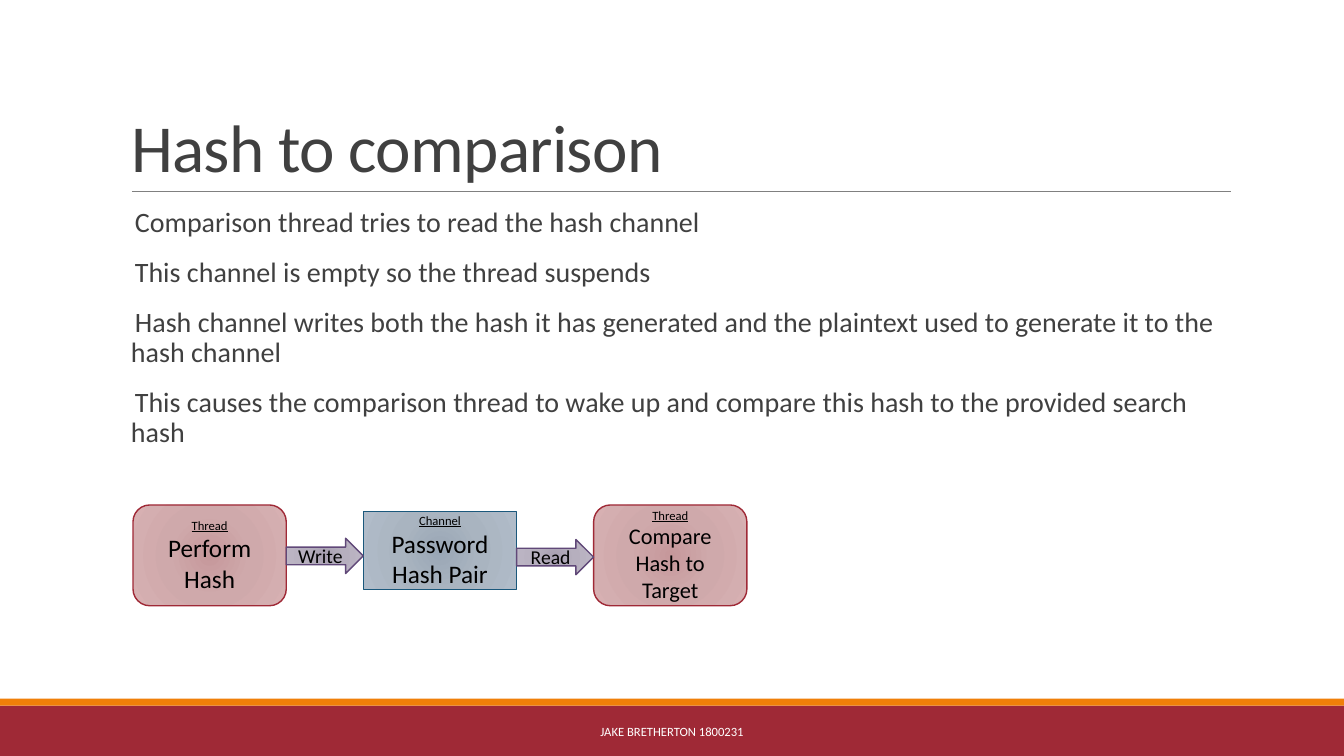
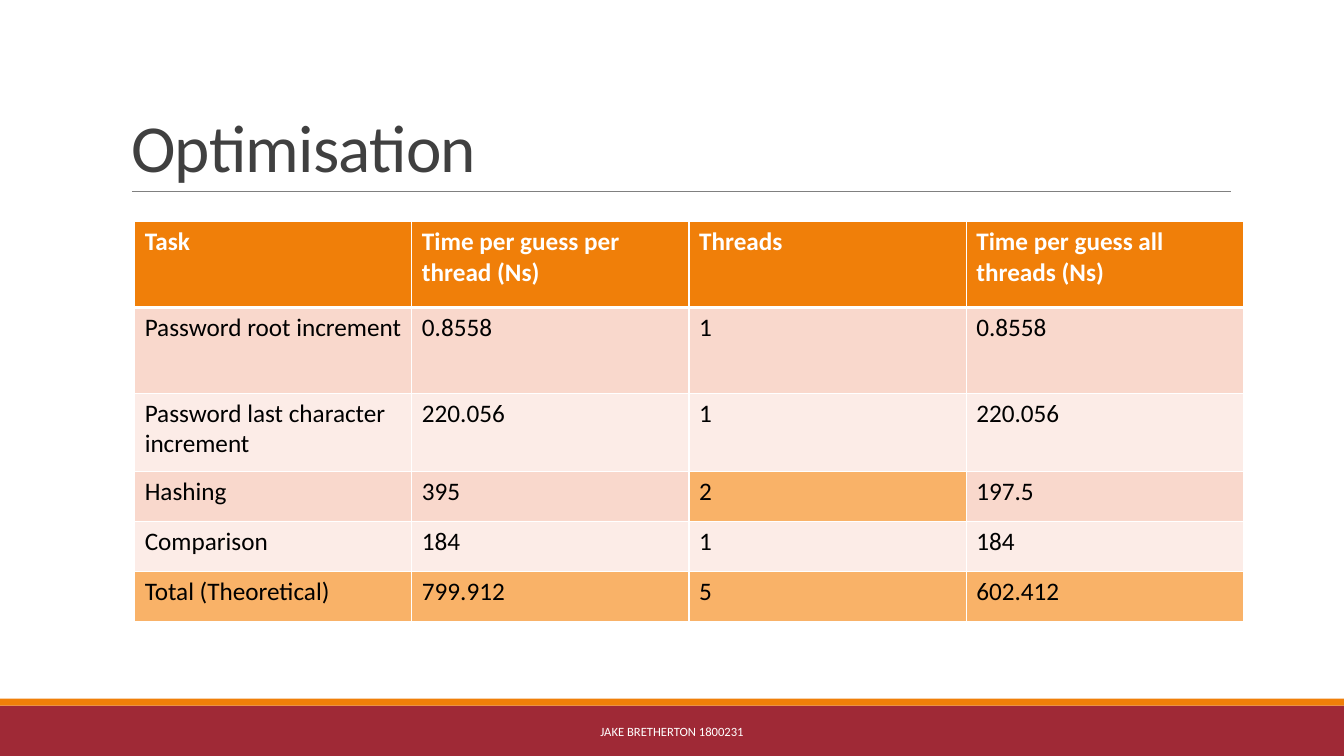
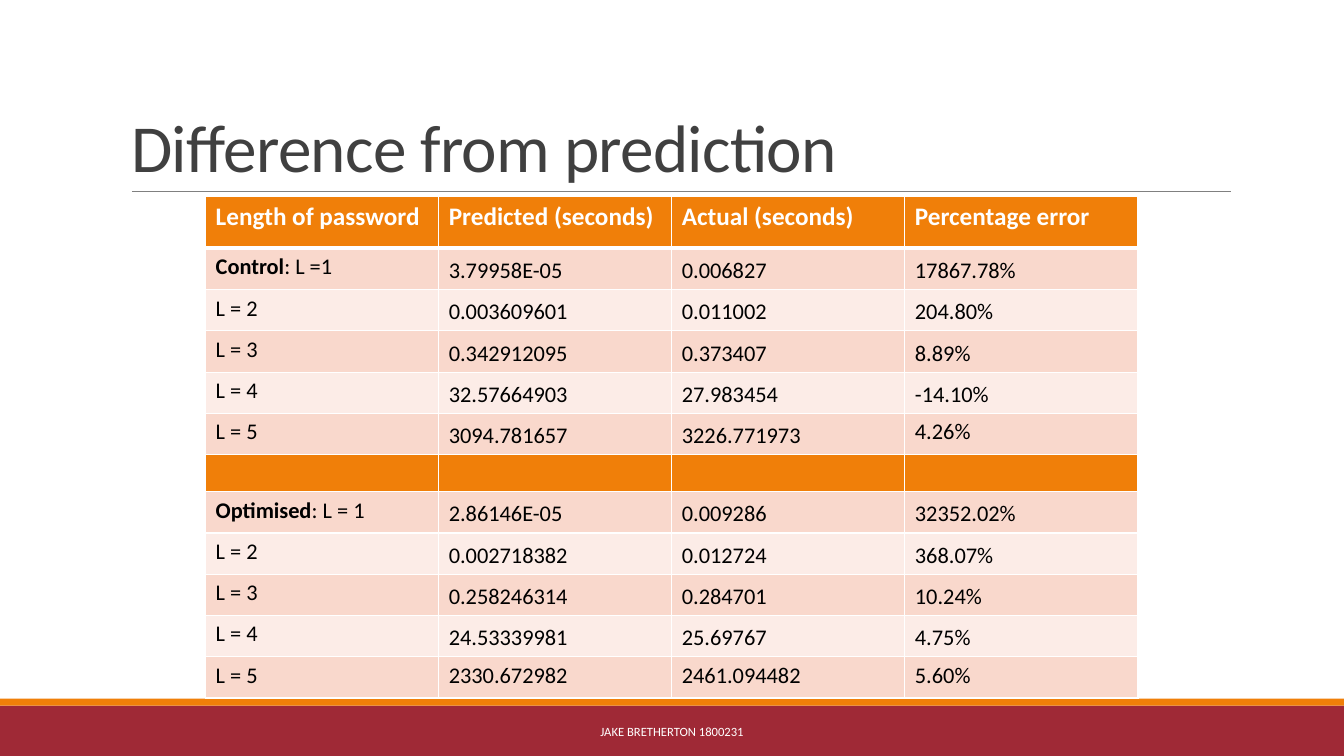
import pptx
import pptx.dml.color
import pptx.enum.shapes
import pptx.enum.text
import pptx.oxml
import pptx.oxml.ns
import pptx.util

Pt = pptx.util.Pt
RGB = pptx.dml.color.RGBColor
SHAPE = pptx.enum.shapes.MSO_SHAPE
ANCHOR = pptx.enum.text.MSO_ANCHOR
ALIGN = pptx.enum.text.PP_ALIGN

# Theme
FONT = "Calibri"
WHITE = RGB(0xFF, 0xFF, 0xFF)
BLACK = RGB(0x00, 0x00, 0x00)
INK = RGB(0x40, 0x40, 0x40)
RULE = RGB(0x80, 0x80, 0x80)
RED = RGB(0x9F, 0x29, 0x36)
ORANGE = RGB(0xF0, 0x7F, 0x09)
LIGHT_ORANGE = RGB(0xF9, 0xB2, 0x68)
BLUE = RGB(0x1B, 0x58, 0x7C)
PURPLE = RGB(0x60, 0x48, 0x78)
BANDS = (RGB(0xF9, 0xD8, 0xCC), RGB(0xFC, 0xEC, 0xE7))

# Radial gradients from the centre outwards, by outline colour
GRADIENTS = {
    RED: (RGB(0xC6, 0x98, 0x9B), RGB(0xCF, 0xA9, 0xAB), RGB(0xD7, 0xB0, 0xB2)),
    BLUE: (RGB(0x99, 0xA6, 0xB5), RGB(0xA9, 0xB4, 0xC0), RGB(0xB1, 0xBC, 0xC9)),
    PURPLE: (RGB(0xA8, 0xA0, 0xB2), RGB(0xB6, 0xAF, 0xBE), RGB(0xBE, 0xB7, 0xC6)),
}


def xml(text):
    """Parse a fragment that uses the a: prefix."""
    head, tail = text.split(">", 1) if "/>" not in text.split(">", 1)[0] + ">" else (text[:-2], None)
    ns = pptx.oxml.ns.nsdecls("a")
    return pptx.oxml.parse_xml(f"{head} {ns}/>" if tail is None else f"{head} {ns}>{tail}")


# Text
def add_text(p, text, size=18, color=BLACK, bold=False, underline=False, spacing=None):
    r = p.add_run()
    r.text = text
    f = r.font
    f.name, f.size, f.bold, f.underline = FONT, Pt(size), bold, underline
    f.color.rgb = color
    if spacing is not None:
        r._r.get_or_add_rPr().set("spc", str(int(spacing * 100)))
    return r


def add_box(slide, x, y, w, h, anchor=ANCHOR.TOP):
    tf = slide.shapes.add_textbox(Pt(x), Pt(y), Pt(w), Pt(h)).text_frame
    tf.word_wrap = True
    tf.vertical_anchor = anchor
    return tf


def add_body(slide, lines):
    tf = add_box(slide, 86.4, 145.4, 792, 316.8)
    tf.margin_left = tf.margin_right = 0
    for i, line in enumerate(lines):
        p = tf.paragraphs[0] if i == 0 else tf.add_paragraph()
        pPr = p._p.get_or_add_pPr()
        pPr.set("marL", str(Pt(7.2)))
        pPr.set("indent", str(-Pt(7.2)))
        pPr.append(xml(f'<a:buClr><a:srgbClr val="{ORANGE}"/></a:buClr>'))
        pPr.append(xml('<a:buChar char=" "/>'))
        p.line_spacing = 0.9
        p.space_before = Pt(12 if i else 0)
        p.space_after = Pt(2)
        add_text(p, line, size=20, color=INK)


# Shared slide frame
def add_band(slide, y, h, color):
    s = slide.shapes.add_shape(SHAPE.RECTANGLE, 0, Pt(y), Pt(960), Pt(h))
    s.shadow.inherit = False
    s.fill.solid()
    s.fill.fore_color.rgb = color
    s.line.fill.background()


def add_slide(prs, title):
    slide = prs.slides.add_slide(prs.slide_layouts[5])
    add_band(slide, 504, 36, RED)
    add_band(slide, 499, 5, ORANGE)

    rule = slide.shapes.add_connector(
        pptx.enum.shapes.MSO_CONNECTOR.STRAIGHT, Pt(94.3), Pt(136.8), Pt(879), Pt(136.8))
    rule.line.color.rgb = RULE
    rule.line.width = Pt(0.5)
    rule._element.spPr.append(xml("<a:effectLst/>"))

    s = slide.shapes.title
    s.left, s.top, s.width, s.height = Pt(86.4), Pt(22.3), Pt(792), Pt(114.5)
    tf = s.text_frame
    tf.word_wrap = True
    tf.auto_size = pptx.enum.text.MSO_AUTO_SIZE.NONE
    tf.vertical_anchor = ANCHOR.BOTTOM
    p = tf.paragraphs[0]
    p.alignment = ALIGN.LEFT
    p.line_spacing = 0.85
    add_text(p, title, size=48, color=INK, spacing=-0.5)

    p = add_box(slide, 290.2, 508.3, 379.6, 28.8, ANCHOR.MIDDLE).paragraphs[0]
    p.alignment = ALIGN.CENTER
    add_text(p, "JAKE BRETHERTON 1800231", size=9, color=WHITE)
    return slide


# Flow diagram
def add_node(slide, kind, x, y, w, h, color, label, size, caption=None):
    s = slide.shapes.add_shape(kind, Pt(x), Pt(y), Pt(w), Pt(h))
    s.shadow.inherit = False
    s.line.color.rgb = color
    s.line.width = Pt(1)
    stops = "".join(f'<a:gs pos="{pos}"><a:srgbClr val="{c}"/></a:gs>'
                    for pos, c in zip((0, 45000, 100000), GRADIENTS[color]))
    s._element.spPr.prstGeom.addnext(xml(
        f'<a:gradFill rotWithShape="1"><a:gsLst>{stops}</a:gsLst><a:path path="circle">'
        '<a:fillToRect l="100000" t="100000" r="100000" b="100000"/></a:path></a:gradFill>'))
    tf = s.text_frame
    tf.word_wrap = True
    tf.vertical_anchor = ANCHOR.MIDDLE
    p = tf.paragraphs[0]
    if caption:
        p.alignment = ALIGN.CENTER
        add_text(p, caption, size=9, underline=True)
        p = tf.add_paragraph()
    p.alignment = ALIGN.CENTER
    add_text(p, label, size=size)


def add_flow(slide):
    left, box_w, arrow_w = 95, 109.5, 55
    pitch = box_w + arrow_w
    thread = (SHAPE.ROUNDED_RECTANGLE, 360.7, 72, RED, "Thread")
    channel = (SHAPE.RECTANGLE, 365.5, 55.6, BLUE, "Channel")
    steps = [(thread, "Perform Hash", 18),
             (channel, "Password Hash Pair", 18),
             (thread, "Compare Hash to Target", 16)]
    for i, ((kind, y, h, color, caption), label, size) in enumerate(steps):
        add_node(slide, kind, left + i * pitch, y, box_w, h, color, label, size, caption)
    for i, (label, y) in enumerate((("Write", 384.5), ("Read", 385.3))):
        add_node(slide, SHAPE.RIGHT_ARROW, left + box_w + i * pitch, y, arrow_w, 25.2,
                 PURPLE, label, 14)


# Tables
def set_borders(cell, top=1, bottom=1):
    tcPr = cell._tc.get_or_add_tcPr()
    for side, width in (("L", 1), ("R", 1), ("T", top), ("B", bottom)):
        tcPr.append(xml(f'<a:ln{side} w="{Pt(width)}"><a:solidFill>'
                        f'<a:srgbClr val="{WHITE}"/></a:solidFill></a:ln{side}>'))


def add_table(slide, x, y, col_w, heights, rows, size=18, fills=None, bottom=()):
    """fills maps (row, column) to a colour; an empty row is a divider;
    a cell given as a pair starts with a bold part."""
    fills = fills or {}
    cols = len(rows[0])
    table = slide.shapes.add_table(len(rows), cols, Pt(x), Pt(y),
                                   Pt(col_w * cols), Pt(sum(heights))).table
    for column in table.columns:
        column.width = Pt(col_w)
    band = 0
    for i, (row, height) in enumerate(zip(rows, heights)):
        table.rows[i].height = Pt(height)
        solid = i == 0 or not row
        band = 0 if solid else band + 1
        for j in range(cols):
            cell = table.cell(i, j)
            set_borders(cell, top=3 if i == 1 else 1, bottom=3 if i == 0 else 1)
            cell.fill.solid()
            cell.fill.fore_color.rgb = fills.get(
                (i, j), ORANGE if solid else BANDS[(band - 1) % 2])
            if not row:
                cell.margin_top = cell.margin_bottom = 0
                continue
            if (i, j) in bottom:
                cell.vertical_anchor = ANCHOR.BOTTOM
            p = cell.text_frame.paragraphs[0]
            if i == 0:
                add_text(p, row[j], color=WHITE, bold=True)
            elif isinstance(row[j], tuple):
                add_text(p, row[j][0], size=size, bold=True)
                add_text(p, row[j][1], size=size)
            else:
                add_text(p, row[j], size=size)


OPTIMISATION = [
    ("Task", "Time per guess per thread (Ns)", "Threads", "Time per guess all threads (Ns)"),
    ("Password root increment", "0.8558", "1", "0.8558"),
    ("Password last character increment", "220.056", "1", "220.056"),
    ("Hashing", "395", "2", "197.5"),
    ("Comparison", "184", "1", "184"),
    ("Total (Theoretical)", "799.912", "5", "602.412"),
]

PREDICTION = [
    ("Length of password", "Predicted (seconds)", "Actual (seconds)", "Percentage error"),
    (("Control", ": L =1"), "3.79958E-05", "0.006827", "17867.78%"),
    ("L = 2", "0.003609601", "0.011002", "204.80%"),
    ("L = 3", "0.342912095", "0.373407", "8.89%"),
    ("L = 4", "32.57664903", "27.983454", "-14.10%"),
    ("L = 5", "3094.781657", "3226.771973", "4.26%"),
    (),
    (("Optimised", ": L = 1"), "2.86146E-05", "0.009286", "32352.02%"),
    ("L = 2", "0.002718382", "0.012724", "368.07%"),
    ("L = 3", "0.258246314", "0.284701", "10.24%"),
    ("L = 4", "24.53339981", "25.69767", "4.75%"),
    ("L = 5", "2330.672982", "2461.094482", "5.60%"),
]


def main():
    prs = pptx.Presentation()
    prs.slide_width, prs.slide_height = Pt(960), Pt(540)

    slide = add_slide(prs, "Hash to comparison")
    add_body(slide, [
        "Comparison thread tries to read the hash channel",
        "This channel is empty so the thread suspends",
        "Hash channel writes both the hash it has generated and the plaintext used "
        "to generate it to the hash channel",
        "This causes the comparison thread to wake up and compare this hash to the "
        "provided search hash",
    ])
    add_flow(slide)

    slide = add_slide(prs, "Optimisation")
    highlights = {(5, j): LIGHT_ORANGE for j in range(4)}
    highlights[3, 2] = LIGHT_ORANGE
    add_table(slide, 96.2, 158.4, 198, [61.2, 61.2, 56, 35.7, 35.7, 35.7],
              OPTIMISATION, fills=highlights)

    slide = add_slide(prs, "Difference from prediction")
    values = {(i, j) for i in range(1, 11) for j in range(1, 4)} - {(5, 3)}
    add_table(slide, 146.9, 140, 166.5, [37.4] + [29.5] * 5 + [26.4] + [29.5] * 5,
              PREDICTION, size=16, bottom=values)

    prs.save("out.pptx")


if __name__ == "__main__":
    main()
